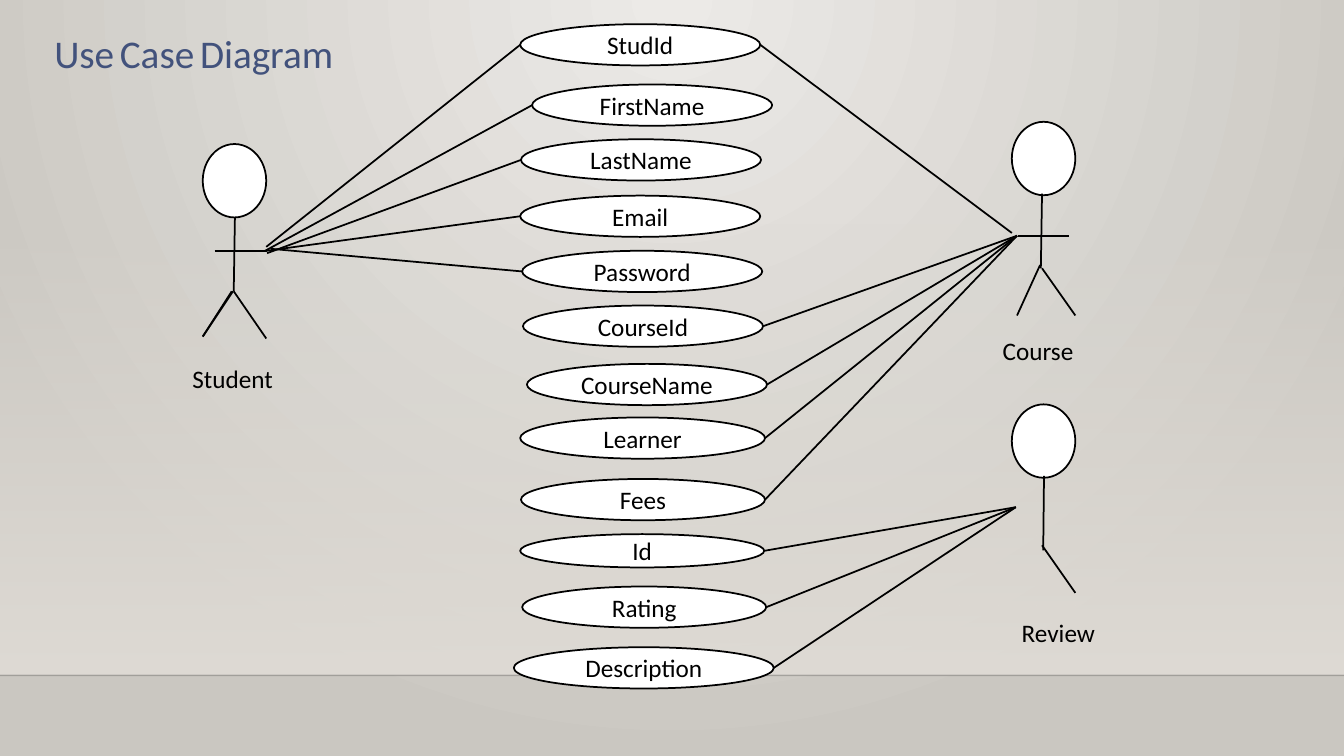
"""Build a use case diagram linking student, course and review to their fields."""
from dataclasses import dataclass

from lxml.etree import SubElement
from pptx import Presentation
from pptx.dml.color import RGBColor
from pptx.enum.shapes import MSO_CONNECTOR, MSO_SHAPE
from pptx.enum.text import MSO_ANCHOR, MSO_AUTO_SIZE, PP_ALIGN
from pptx.oxml.ns import qn
from pptx.util import Cm, Pt


@dataclass(frozen=True)
class Theme:
    font: str = "Calibri"
    ink: RGBColor = RGBColor.from_string("000000")
    paper: RGBColor = RGBColor.from_string("FFFFFF")
    title: RGBColor = RGBColor.from_string("42527C")
    glow: RGBColor = RGBColor.from_string("ECEAE7")
    edge: RGBColor = RGBColor.from_string("CAC7C1")
    wall: RGBColor = RGBColor.from_string("DFDBD5")
    title_size: Pt = Pt(28)
    body_size: Pt = Pt(18)
    stroke: Pt = Pt(1.25)
    floor_stroke: Pt = Pt(1)


theme = Theme()
deck = Presentation()
deck.slide_width, deck.slide_height = Cm(33.87), Cm(19.05)
page = deck.slides.add_slide(deck.slide_layouts[6])


def add_line(x1, y1, x2, y2, width=theme.stroke):
    line = page.shapes.add_connector(
        MSO_CONNECTOR.STRAIGHT, Cm(x1), Cm(y1), Cm(x2), Cm(y2))
    line.line.color.rgb = theme.ink
    line.line.width = width
    SubElement(line._element.spPr, qn("a:effectLst"))
    return line


def add_oval(left, top, width, height):
    oval = page.shapes.add_shape(
        MSO_SHAPE.OVAL, Cm(left), Cm(top), Cm(width), Cm(height))
    oval.shadow.inherit = False
    oval.fill.solid()
    oval.fill.fore_color.rgb = theme.paper
    oval.line.color.rgb = theme.ink
    oval.line.width = theme.stroke
    return oval


backdrop = page.background.fill
backdrop.gradient()
for stop, color in zip(backdrop.gradient_stops, (theme.glow, theme.edge)):
    stop.color.rgb = color
linear = page.element.xpath(".//p:bg//a:lin")[0]
gradient = linear.getparent()
gradient.remove(linear)
radial = SubElement(gradient, qn("a:path"), path="circle")
SubElement(radial, qn("a:fillToRect"), l="43000", t="0", r="43000", b="100000")

wall = page.shapes.add_shape(
    MSO_SHAPE.RECTANGLE, 0, Cm(5.61), deck.slide_width, Cm(11.4))
wall.shadow.inherit = False
wall.line.fill.background()
wall.fill.gradient()
wall.fill.gradient_angle = 270
for stop in wall.fill.gradient_stops:
    stop.color.rgb = theme.wall
clear_color = wall._element.spPr.findall(".//" + qn("a:srgbClr"))[0]
SubElement(clear_color, qn("a:alpha"), val="0")

floor = add_line(0, 17.02, 33.87, 17.02, theme.floor_stroke)
floor_color = floor._element.spPr.find(".//" + qn("a:srgbClr"))
SubElement(floor_color, qn("a:alpha"), val="20000")

course_hand, review_hand = (25.63, 5.94), (25.6, 12.78)
use_cases = [
    ("StudId", 13.11, 0.61, 6.05, 1.04, (6.71, 6.22), (25.5, 5.87)),
    ("FirstName", 13.41, 2.13, 6.05, 1.04, (6.68, 6.32), None),
    ("LastName", 13.13, 3.51, 6.05, 1.04, (6.73, 6.38), None),
    ("Email", 13.11, 4.93, 6.05, 1.04, (6.71, 6.32), None),
    ("Password", 13.16, 6.32, 6.05, 1.04, (6.83, 6.27), None),
    ("CourseId", 13.18, 7.7, 6.05, 1.04, None, course_hand),
    ("CourseName", 13.28, 9.17, 6.05, 1.04, None, course_hand),
    ("Learner", 13.11, 10.52, 6.17, 1.04, None, course_hand),
    ("Fees", 13.13, 12.07, 6.15, 1.04, None, course_hand),
    ("Id", 13.11, 13.46, 6.15, 0.84, None, review_hand),
    ("Rating", 13.16, 14.78, 6.15, 1.04, None, review_hand),
    ("Description", 12.95, 16.31, 6.55, 1.04, None, review_hand),
]
for name, left, top, width, height, left_hand, right_hand in use_cases:
    oval = add_oval(left, top, width, height)
    oval.text_frame.text = name
    oval.text_frame.vertical_anchor = MSO_ANCHOR.MIDDLE
    para = oval.text_frame.paragraphs[0]
    para.alignment = PP_ALIGN.CENTER
    font = para.runs[0].font
    font.name, font.size = theme.font, theme.body_size
    font.color.rgb = theme.ink
    middle = top + height / 2
    if left_hand:
        add_line(*left_hand, left, middle)
    if right_hand:
        add_line(*right_hand, left + width, middle)

actors = [
    ((5.11, 3.63), [(5.92, 5.49, 5.89, 7.34), (5.41, 6.32, 6.73, 6.32),
                    (5.87, 7.34, 5.11, 8.48), (5.84, 7.34, 5.11, 8.48),
                    (5.89, 7.34, 6.71, 8.53)]),
    ((25.5, 3.07), [(26.26, 4.88, 26.23, 6.76), (25.65, 5.94, 26.95, 5.94),
                    (26.21, 6.68, 25.63, 7.95), (26.26, 6.76, 27.1, 7.95)]),
    ((25.5, 10.19), [(26.31, 11.99, 26.29, 13.87),
                     (26.26, 13.74, 27.1, 14.94)]),
]
for head, limbs in actors:
    add_oval(*head, 1.6, 1.85)
    for limb in limbs:
        add_line(*limb)

big = (theme.title_size, theme.title)
small = (theme.body_size, theme.ink)
labels = [
    (1.12, 0.61, 7.95, 1.45, [("Use", big), (" ", small), ("Case", big),
                              (" ", small), ("Diagram", big)]),
    (4.6, 9.02, 3.89, 1.02, [("Student", small)]),
    (25.02, 8.33, 2.92, 1.02, [("Course", small)]),
    (25.5, 15.44, 3.4, 1.02, [("Review", small)]),
]
for left, top, width, height, spans in labels:
    box = page.shapes.add_textbox(Cm(left), Cm(top), Cm(width), Cm(height))
    box.text_frame.word_wrap = True
    box.text_frame.auto_size = MSO_AUTO_SIZE.SHAPE_TO_FIT_TEXT
    for text, (size, color) in spans:
        span = box.text_frame.paragraphs[0].add_run()
        span.text = text
        span.font.name, span.font.size = theme.font, size
        span.font.color.rgb = color

deck.save("out.pptx")
